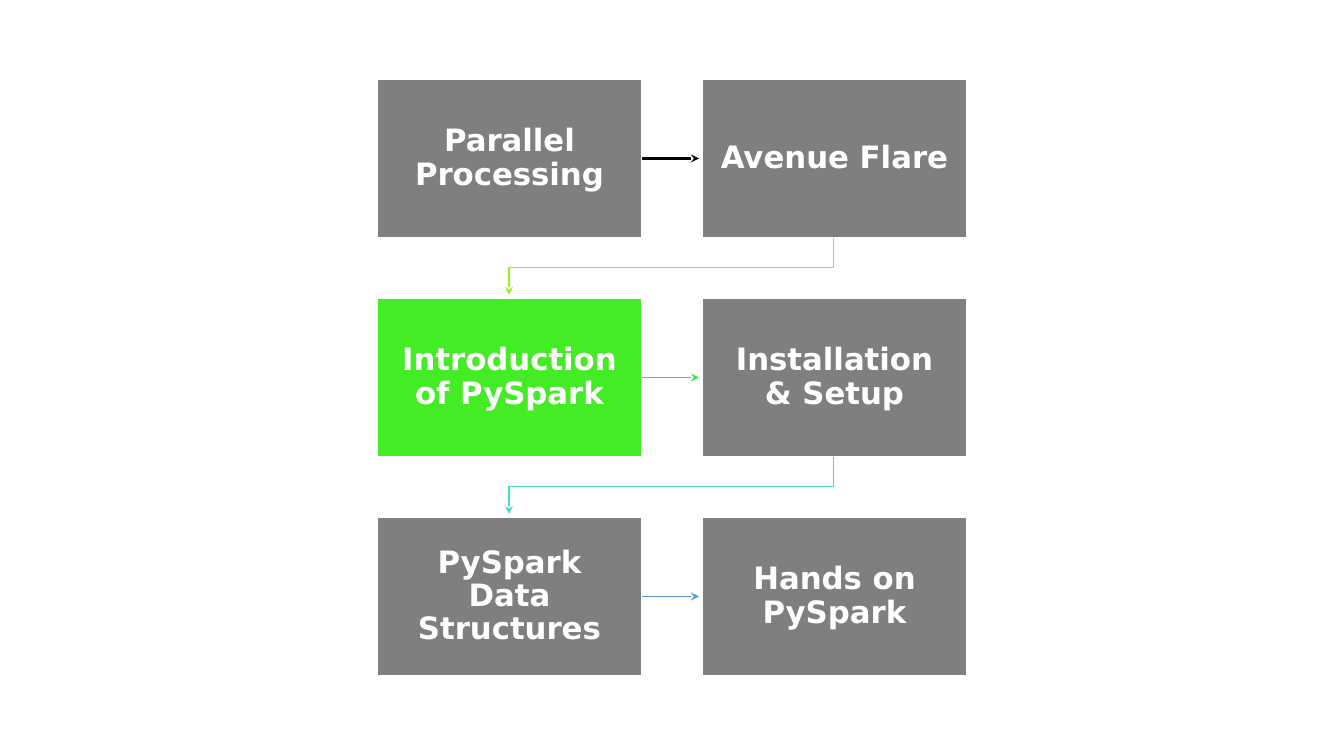
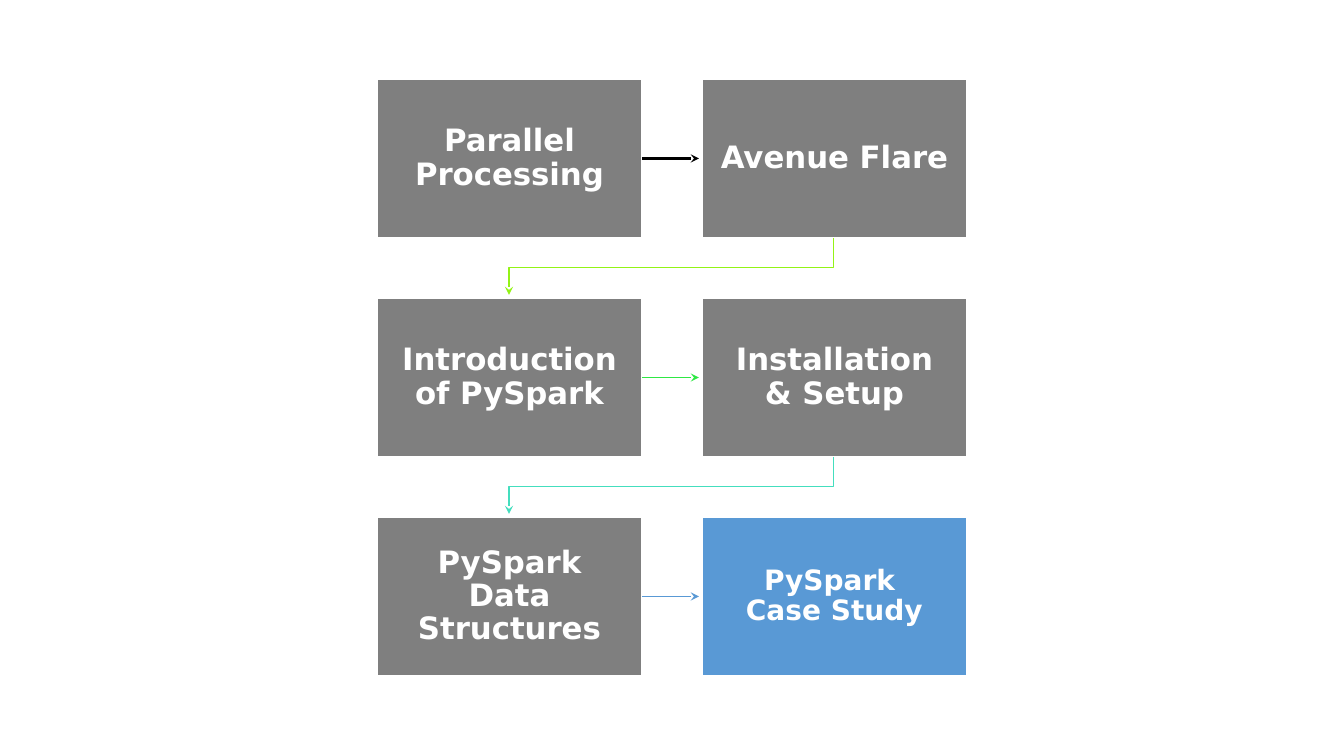
from dataclasses import dataclass, replace

from lxml.etree import SubElement
from pptx import Presentation
from pptx.dml.color import RGBColor
from pptx.dml.line import LineFormat
from pptx.enum.shapes import MSO_CONNECTOR, MSO_SHAPE
from pptx.enum.text import MSO_ANCHOR, PP_ALIGN
from pptx.oxml.ns import qn
from pptx.shapes.autoshape import Shape
from pptx.slide import Slide
from pptx.util import Emu, Pt

# Shared scale, grid and style
SLIDE_WIDTH, SLIDE_HEIGHT = 1344, 756
EMU_PER_PX = 12192000 / SLIDE_WIDTH
COLUMNS = 2
GRID_LEFT, GRID_TOP = 377, 79
BOX_WIDTH, BOX_HEIGHT = 265, 159
COLUMN_PITCH, ROW_PITCH = 325, 219
INSET = 17
ARROW_GAP = 3  # space between an arrowhead and the next box
BEND_DROP = 30  # distance from a box down to the bend of its arrow
RIGHT_SIDE = 3

FONT = "DejaVu Sans"
WHITE, GRAY, GREEN, BLUE = "FFFFFF", "7F7F7F", "44EC25", "5999D5"


@dataclass(frozen=True)
class Step:
    lines: tuple[str, ...]
    fill: str = GRAY
    size: int = 22


@dataclass(frozen=True)
class Arrow:
    color: str
    weight: float = 0.75


STEPS = [
    Step(("Parallel Processing",)),
    Step(("Avenue Flare",)),
    Step(("Introduction of PySpark",)),
    Step(("Installation & Setup",)),
    Step(("PySpark Data Structures",)),
]
ARROWS = [
    Arrow("000000", 1.5),
    Arrow("93F316"),
    Arrow("2EE844"),
    Arrow("44DEBE"),
    Arrow(BLUE),
]


def px(length: int) -> Emu:
    return Emu(round(length * EMU_PER_PX))


def rgb(color: str) -> RGBColor:
    return RGBColor.from_string(color)


def box_position(index: int) -> tuple[int, int]:
    row, column = divmod(index, COLUMNS)
    return GRID_LEFT + column * COLUMN_PITCH, GRID_TOP + row * ROW_PITCH


def draw_box(slide: Slide, index: int, step: Step) -> Shape:
    left, top = box_position(index)
    box = slide.shapes.add_shape(
        MSO_SHAPE.RECTANGLE, px(left), px(top), px(BOX_WIDTH), px(BOX_HEIGHT)
    )
    box.shadow.inherit = False
    box.fill.solid()
    box.fill.fore_color.rgb = rgb(step.fill)
    box.line.color.rgb = rgb(WHITE)
    box.line.width = Pt(1)

    frame = box.text_frame
    frame.word_wrap = True
    frame.vertical_anchor = MSO_ANCHOR.MIDDLE
    frame.margin_left = frame.margin_right = px(INSET)
    frame.margin_top = frame.margin_bottom = px(INSET)
    frame.text = "\n".join(step.lines)
    for paragraph in frame.paragraphs:
        paragraph.alignment = PP_ALIGN.CENTER
        paragraph.line_spacing = 0.9
        paragraph.font.name = FONT
        paragraph.font.size = Pt(step.size)
        paragraph.font.bold = True
        paragraph.font.color.rgb = rgb(WHITE)
    return box


def style_arrow(line: LineFormat, arrow: Arrow) -> None:
    line.color.rgb = rgb(arrow.color)
    line.width = Pt(arrow.weight)
    SubElement(line._get_or_add_ln(), qn("a:tailEnd"), type="stealth")


def draw_straight_arrow(slide: Slide, index: int, box: Shape, arrow: Arrow) -> None:
    left, top = box_position(index)
    next_left, _ = box_position(index + 1)
    middle = px(top) + px(BOX_HEIGHT) // 2
    connector = slide.shapes.add_connector(
        MSO_CONNECTOR.STRAIGHT,
        px(left + BOX_WIDTH), middle, px(next_left - ARROW_GAP), middle,
    )
    connector.begin_connect(box, RIGHT_SIDE)
    style_arrow(connector.line, arrow)
    SubElement(connector._element.spPr, qn("a:effectLst"))


def draw_bent_arrow(slide: Slide, index: int, arrow: Arrow) -> None:
    left, top = box_position(index)
    next_left, next_top = box_position(index + 1)
    start_x, end_x = left + BOX_WIDTH // 2, next_left + BOX_WIDTH // 2
    start_y = top + BOX_HEIGHT
    bend_y = start_y + BEND_DROP
    builder = slide.shapes.build_freeform(start_x, start_y, scale=EMU_PER_PX)
    builder.add_line_segments(
        [(start_x, bend_y), (end_x, bend_y), (end_x, next_top - ARROW_GAP)],
        close=False,
    )
    outline = builder.convert_to_shape()
    outline.fill.background()
    style_arrow(outline.line, arrow)
    outline.shadow.inherit = False


def draw_roadmap(slide: Slide, steps: list[Step]) -> None:
    boxes = [draw_box(slide, index, step) for index, step in enumerate(steps)]
    for index, arrow in enumerate(ARROWS):
        if index % COLUMNS == COLUMNS - 1:
            draw_bent_arrow(slide, index, arrow)
        else:
            draw_straight_arrow(slide, index, boxes[index], arrow)


def main() -> None:
    presentation = Presentation()
    presentation.slide_width = px(SLIDE_WIDTH)
    presentation.slide_height = px(SLIDE_HEIGHT)
    blank_layout = presentation.slide_layouts[6]

    # Each roadmap highlights its current step
    introduction = STEPS[:]
    introduction[2] = replace(STEPS[2], fill=GREEN)
    roadmaps = [
        introduction + [Step(("Hands on PySpark",))],
        STEPS + [Step(("PySpark ", "Case Study"), BLUE, 20)],
    ]
    for steps in roadmaps:
        draw_roadmap(presentation.slides.add_slide(blank_layout), steps)

    presentation.save("out.pptx")


if __name__ == "__main__":
    main()
